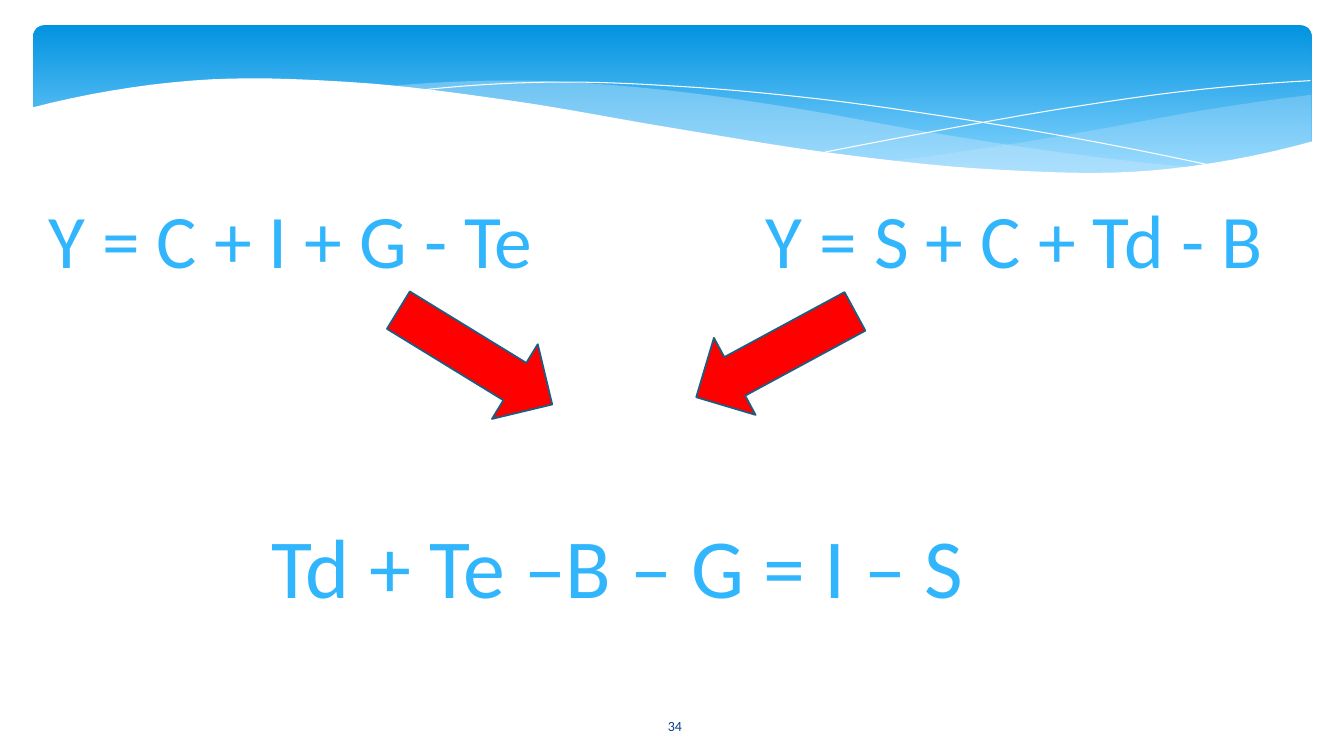
import pptx
import pptx.dml.color
import pptx.enum.shapes
import pptx.enum.text
import pptx.util
from lxml import etree

Pt = pptx.util.Pt
SHAPE = pptx.enum.shapes.MSO_SHAPE
ANCHOR = pptx.enum.text.MSO_ANCHOR
AUTO_SIZE = pptx.enum.text.MSO_AUTO_SIZE
color = pptx.dml.color.RGBColor.from_string

WHITE = "FFFFFF"
BAND_BLUE = "C6E7FC"
EQUATION_BLUE = "31B6FD"
NUMBER_BLUE = "073E87"
STEPS_PER_SPAN = 8


def smooth_curve(left, right, heights):
    """Return points of a cubic curve through heights spaced evenly from left to right."""
    spans = len(heights) - 1
    slopes = [(after - before) / 2 for before, after in zip(heights, heights[2:])]
    first_slope = 2 * (heights[1] - heights[0]) - slopes[0]
    last_slope = 2 * (heights[-1] - heights[-2]) - slopes[-1]
    slopes = [first_slope, *slopes, last_slope]
    points = []
    for step in range(spans * STEPS_PER_SPAN + 1):
        span = min(step // STEPS_PER_SPAN, spans - 1)
        t = step / STEPS_PER_SPAN - span
        start, end = heights[span:span + 2]
        start_slope, end_slope = slopes[span:span + 2]
        height = (start + (end - start) * t * t * (3 - 2 * t)
                  + start_slope * t * (1 - t) ** 2
                  - end_slope * t * t * (1 - t))
        x = left + (right - left) * step / (spans * STEPS_PER_SPAN)
        points.append((Pt(x), Pt(height)))
    return points


def add_wave(points, closed):
    builder = slide.shapes.build_freeform(*points[0])
    builder.add_line_segments(points[1:], close=closed)
    wave = builder.convert_to_shape()
    wave.shadow.inherit = False
    return wave


presentation = pptx.Presentation()
presentation.slide_width = Pt(960)
presentation.slide_height = Pt(540)
slide = presentation.slides.add_slide(presentation.slide_layouts[6])

# Banner with a gradient from top to bottom
banner = slide.shapes.add_shape(
    SHAPE.ROUNDED_RECTANGLE, Pt(23.8), Pt(18), Pt(913), Pt(112.3))
banner.adjustments[0] = 0.07
banner.shadow.inherit = False
banner.line.fill.background()
banner.fill.gradient()
banner.fill.gradient_angle = 270
gradient = ((0, "0293E0"), (0.9, "83D3FE"))
for stop, (position, shade) in zip(banner.fill.gradient_stops, gradient):
    stop.position = position
    stop.color.rgb = color(shade)

# Translucent bands, each between an upper and a lower edge
bands = [
    {"left": 635, "right": 936.7, "opacity": 29,
     "upper": [115.2, 104.8, 92.2, 78.5, 67.7],
     "lower": [115.2, 121.3, 123.8, 118.8, 102.2]},
    {"left": 275, "right": 856.8, "opacity": 40,
     "upper": [61.9, 57.6, 63.7, 77, 94.3, 109.1, 120.2],
     "lower": [61.9, 73.4, 90.4, 106.2, 118.4, 124.2, 120.2]},
]
for band in bands:
    upper_edge, lower_edge = (
        smooth_curve(band["left"], band["right"], band[edge])
        for edge in ("upper", "lower"))
    wave = add_wave(upper_edge + lower_edge[::-1], closed=True)
    wave.line.fill.background()
    wave.fill.solid()
    wave.fill.fore_color.rgb = color(BAND_BLUE)
    shade_element = wave.fill._xPr.find(".//" + pptx.oxml.ns.qn("a:srgbClr"))
    alpha = etree.SubElement(shade_element, pptx.oxml.ns.qn("a:alpha"))
    alpha.set("val", str(band["opacity"] * 1000))

# Crossing hairlines
falling_line = smooth_curve(
    296.6, 871.2, [64.8, 58.7, 61.9, 70.6, 83.9, 100.1, 119.5])
rising_line = smooth_curve(589, 936, [108.7, 92.2, 77, 64.8, 57.6])
for points in (falling_line, rising_line):
    hairline = add_wave(points, closed=False)
    hairline.fill.background()
    hairline.line.color.rgb = color(WHITE)
    hairline.line.width = Pt(0)

# White wave that cuts off the bottom of the banner
wave_left, wave_right, wave_bottom = 22.3, 938.2, 161.3
crest = smooth_curve(
    wave_left, wave_right,
    [77, 57.6, 58.7, 72, 91.4, 109.4, 121, 121.7, 100.8])
corners = [(Pt(x), Pt(wave_bottom)) for x in (wave_right, wave_left)]
white_wave = add_wave(crest + corners, closed=True)
white_wave.line.fill.background()
white_wave.fill.solid()
white_wave.fill.fore_color.rgb = color(WHITE)

# Equations and page number
equation_frame = {"word_wrap": False, "auto_size": AUTO_SIZE.SHAPE_TO_FIT_TEXT}
number_frame = {"word_wrap": True, "vertical_anchor": ANCHOR.MIDDLE}
equation_top = 134.6
texts = [
    ("34", (421.2, 504, 121.7, 28.8), 10, NUMBER_BLUE, number_frame),
    ("Y = C + I + G - Te", (23.8, equation_top, 367.2, 72.7), 54,
     EQUATION_BLUE, equation_frame),
    ("Y = S + C + Td - B", (534.2, equation_top, 380.2, 72.7), 54,
     EQUATION_BLUE, equation_frame),
    ("Td + Te –B – G = I – S ", (179.3, 363.6, 537.1, 79.9), 60,
     EQUATION_BLUE, equation_frame),
]
for text, place, size, shade, frame_format in texts:
    box = slide.shapes.add_textbox(*map(Pt, place))
    for name, value in frame_format.items():
        setattr(box.text_frame, name, value)
    paragraph = box.text_frame.paragraphs[0]
    paragraph.alignment = pptx.enum.text.PP_ALIGN.CENTER
    run = paragraph.add_run()
    run.text = text
    for name, value in {"name": "Calibri", "size": Pt(size)}.items():
        setattr(run.font, name, value)
    run.font.color.rgb = color(shade)

# Arrows from both equations to the combined one
for left, top, rotation in ((308.2, 190.8, 121.5), (522.7, 188.6, 241.6)):
    arrow = slide.shapes.add_shape(
        SHAPE.UP_ARROW, Pt(left), Pt(top), Pt(62.6), Pt(128.9))
    arrow.rotation = rotation
    arrow.shadow.inherit = False
    arrow.fill.solid()
    arrow.fill.fore_color.rgb = color("FF0000")
    arrow.line.color.rgb = color("195F84")
    arrow.line.width = Pt(1.25)

presentation.save("out.pptx")
